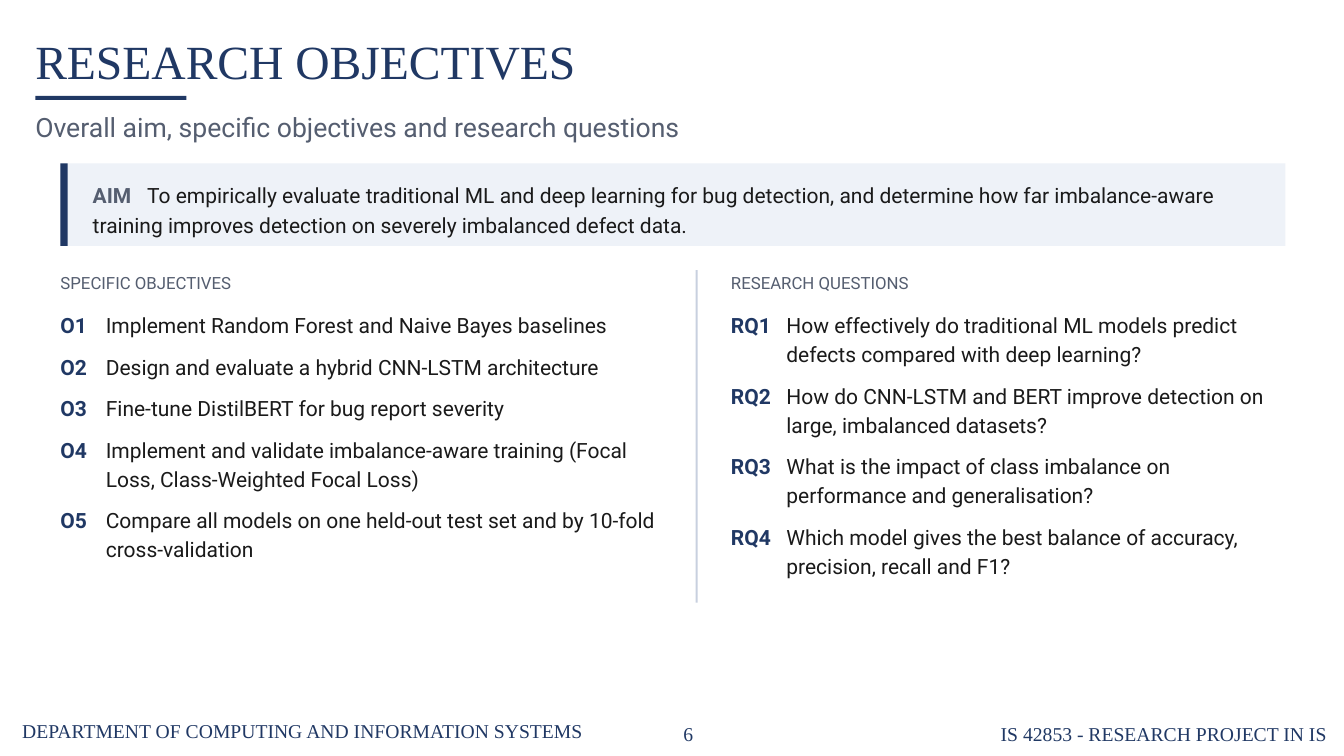
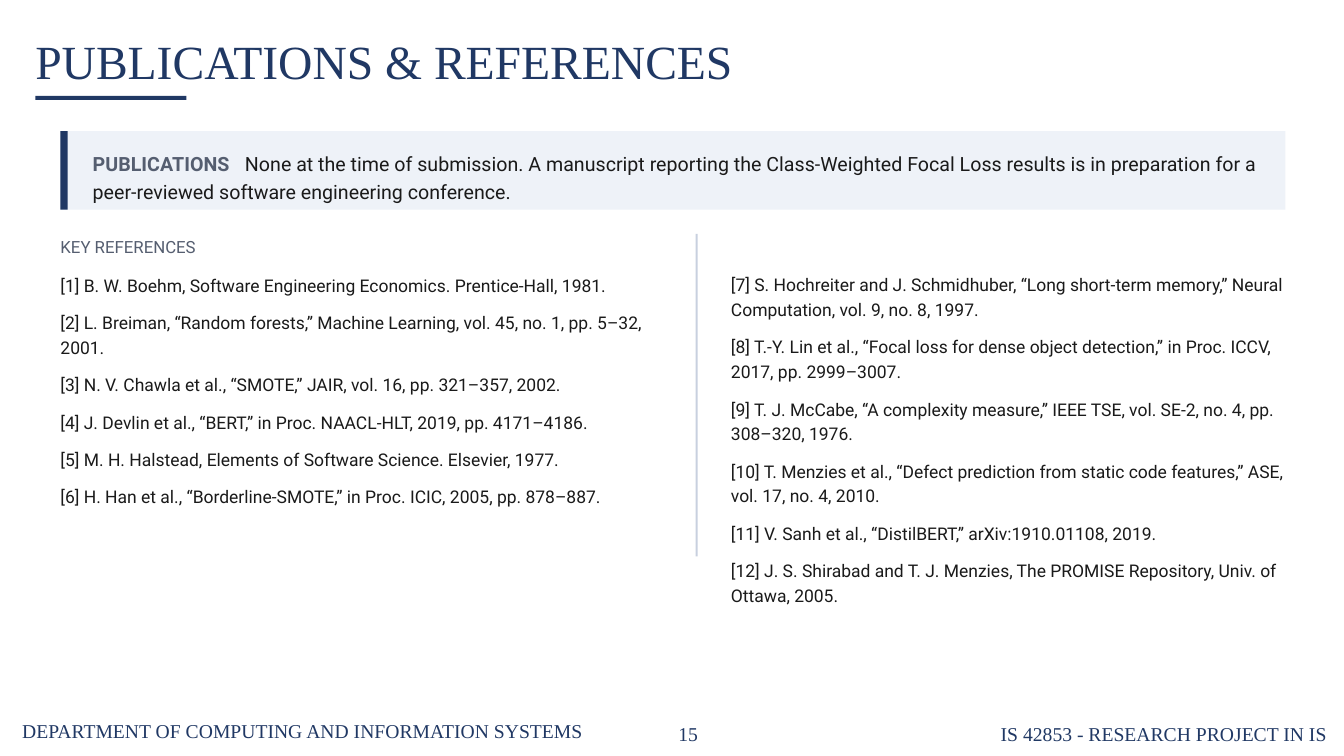
from dataclasses import dataclass
from typing import NamedTuple

from lxml.etree import SubElement
from pptx import Presentation
from pptx.dml.color import RGBColor
from pptx.enum.shapes import MSO_SHAPE as Preset
from pptx.enum.text import MSO_ANCHOR as Anchor, MSO_AUTO_SIZE as AutoSize, PP_ALIGN as Align
from pptx.oxml.ns import qn
from pptx.util import Emu, Inches, Pt

NAVY = RGBColor(0x20, 0x38, 0x64)
SLATE = RGBColor(0x55, 0x5E, 0x70)
INK = RGBColor(0x1A, 0x1A, 0x1A)
PALE = RGBColor(0xEE, 0xF2, 0xF8)
RULE = RGBColor(0xC8, 0xD0, 0xDF)
SERIF, SANS = "Times New Roman", "Roboto"

SLIDE_WIDTH, SLIDE_HEIGHT = Inches(13.33), Inches(7.5)


class Area(NamedTuple):
    """A rectangle in percent of the slide's width and height."""
    left: float
    top: float
    width: float
    height: float

    def lengths(self) -> tuple:
        sides = (SLIDE_WIDTH, SLIDE_HEIGHT) * 2
        return tuple(Emu(round(share * side / 100)) for share, side in zip(self, sides))


class Style(NamedTuple):
    size: float
    color: RGBColor
    font: str = SANS
    leading: float = 1.15
    after: float = 0
    align: Align = Align.LEFT


class Line(NamedTuple):
    """A paragraph; a label is set bold and the text starts at the tab, in inches."""
    text: str
    style: Style
    label: str = ""
    label_color: RGBColor = NAVY
    tab: float = 0
    hanging: bool = False


@dataclass
class Banner:
    label: str
    text: str
    size: float
    tab: float
    top: float
    height: float
    inset: float


@dataclass
class Column:
    heading: str
    lines: list[Line]


@dataclass
class Content:
    number: int
    title: str
    subtitle: str
    banner: Banner
    columns: tuple[Column, Column]
    divider_height: float
    heading_gap: float


FOOTER = Style(14, NAVY, SERIF)
TITLE = Style(34, NAVY, SERIF)
SUBTITLE = Style(19, SLATE)
ITEM = Style(15, INK, after=9)
REFERENCE = Style(12.5, INK, leading=1.18, after=9)

BODY_LEFT, BODY_WIDTH = 4.5, 91.15
COLUMN_SPANS = ((BODY_LEFT, 45.39), (54.39, 41.26))
DIVIDER_LEFT = 51.76
BANNER_GAP = 3.2
HEADING_LINE = 16.2  # points


def add_block(page, area: Area, color: RGBColor) -> None:
    block = page.shapes.add_shape(Preset.RECTANGLE, *area.lengths())
    block.shadow.inherit = False
    block.fill.solid()
    block.fill.fore_color.rgb = color
    block.line.fill.background()


def set_tab(para, inches: float, hanging: bool) -> None:
    """Start the text after a label at a tab stop, with wrapped lines under it if hanging."""
    properties = para._p.get_or_add_pPr()
    position = str(Inches(inches))
    if hanging:
        properties.set("marL", position)
        properties.set("indent", f"-{position}")
    else:
        stops = SubElement(properties, qn("a:tabLst"))
        SubElement(stops, qn("a:tab"), pos=position, algn="l")


def add_span(para, text: str, style: Style, color: RGBColor, bold: bool = False) -> None:
    span = para.add_run()
    span.text = text
    span.font.name = style.font
    span.font.size = Pt(style.size)
    span.font.bold = bold
    span.font.color.rgb = color


def add_text(page, area: Area, lines: list[Line], anchor: Anchor = Anchor.TOP) -> None:
    frame = page.shapes.add_textbox(*area.lengths()).text_frame
    frame.margin_left = frame.margin_top = frame.margin_right = frame.margin_bottom = 0
    frame.word_wrap = True
    frame.auto_size = AutoSize.SHAPE_TO_FIT_TEXT
    frame.vertical_anchor = anchor
    for index, line in enumerate(lines):
        para = frame.add_paragraph() if index else frame.paragraphs[0]
        style = line.style
        para.alignment = style.align
        para.line_spacing = style.leading
        para.space_after = Pt(style.after)
        if line.label:
            set_tab(para, line.tab, line.hanging)
            add_span(para, f"{line.label}\t", style, line.label_color, bold=True)
        add_span(para, line.text, style, style.color)


def add_frame(page, content: Content) -> None:
    """Draw the footer, title and title rule that every slide has."""
    footers = (
        (Area(1.65, 94.67, 45.16, 4.27), "DEPARTMENT OF COMPUTING AND INFORMATION SYSTEMS", Align.LEFT),
        (Area(72.92, 95.07, 25.81, 3.73), "IS 42853 - RESEARCH PROJECT IN IS", Align.RIGHT),
        (Area(47.94, 95.07, 6.53, 3.73), str(content.number), Align.CENTER),
    )
    for area, text, align in footers:
        add_text(page, area, [Line(text, FOOTER._replace(align=align))])
    add_text(page, Area(2.63, 2.67, 77.27, 9.6), [Line(content.title, TITLE)], Anchor.MIDDLE)
    add_block(page, Area(2.63, 12.67, 11.25, 0.53), NAVY)
    if content.subtitle:
        add_text(page, Area(2.63, 14, 93.02, 5.87), [Line(content.subtitle, SUBTITLE)])


def add_banner(page, banner: Banner) -> None:
    panel = Area(BODY_LEFT, banner.top, BODY_WIDTH, banner.height)
    add_block(page, panel, PALE)
    add_block(page, panel._replace(width=0.53), NAVY)
    style = Style(banner.size, INK, leading=1.2)
    add_text(page, Area(6.9, banner.top + banner.inset, 87.02, 7.5),
             [Line(banner.text, style, banner.label, SLATE, banner.tab)])


def add_columns(page, content: Content) -> None:
    top = content.banner.top + content.banner.height + BANNER_GAP
    height = content.divider_height + 1.33
    add_block(page, Area(DIVIDER_LEFT, top, 0.15, content.divider_height), RULE)
    heading_style = Style(12, SLATE, after=content.heading_gap)
    heading_share = 100 * Pt(HEADING_LINE + content.heading_gap) / SLIDE_HEIGHT
    for (left, width), column in zip(COLUMN_SPANS, content.columns):
        if column.heading:
            area = Area(left, top, width, height)
            lines = [Line(column.heading, heading_style), *column.lines]
        else:
            area = Area(left, top + heading_share, width, height - heading_share)
            lines = column.lines
        add_text(page, area, lines)


def numbered(prefix: str, tab: float, texts: list[str]) -> list[Line]:
    return [Line(text, ITEM, f"{prefix}{number}", tab=tab, hanging=True)
            for number, text in enumerate(texts, 1)]


def references(first: int, texts: list[str]) -> list[Line]:
    return [Line(f"[{number}] {text}", REFERENCE) for number, text in enumerate(texts, first)]


OBJECTIVES = Content(
    number=6,
    title="RESEARCH OBJECTIVES",
    subtitle="Overall aim, specific objectives and research questions",
    banner=Banner(
        "AIM",
        "To empirically evaluate traditional ML and deep learning for bug detection, and determine "
        "how far imbalance-aware training improves detection on severely imbalanced defect data.",
        size=15, tab=0.54, top=21.6, height=10.93, inset=1.87),
    columns=(
        Column("SPECIFIC OBJECTIVES", numbered("O", 0.45, [
            "Implement Random Forest and Naive Bayes baselines",
            "Design and evaluate a hybrid CNN-LSTM architecture",
            "Fine-tune DistilBERT for bug report severity",
            "Implement and validate imbalance-aware training (Focal Loss, Class-Weighted Focal Loss)",
            "Compare all models on one held-out test set and by 10-fold cross-validation",
        ])),
        Column("RESEARCH QUESTIONS", numbered("RQ", 0.55, [
            "How effectively do traditional ML models predict defects compared with deep learning?",
            "How do CNN-LSTM and BERT improve detection on large, imbalanced datasets?",
            "What is the impact of class imbalance on performance and generalisation?",
            "Which model gives the best balance of accuracy, precision, recall and F1?",
        ])),
    ),
    divider_height=44,
    heading_gap=11,
)

PUBLICATIONS = Content(
    number=15,
    title="PUBLICATIONS & REFERENCES",
    subtitle="",
    banner=Banner(
        "PUBLICATIONS",
        "None at the time of submission. A manuscript reporting the Class-Weighted Focal Loss results "
        "is in preparation for a peer-reviewed software engineering conference.",
        size=14, tab=1.51, top=17.33, height=10.4, inset=2.13),
    columns=(
        Column("KEY REFERENCES", references(1, [
            "B. W. Boehm, Software Engineering Economics. Prentice-Hall, 1981.",
            "L. Breiman, “Random forests,” Machine Learning, vol. 45, no. 1, pp. 5–32, 2001.",
            "N. V. Chawla et al., “SMOTE,” JAIR, vol. 16, pp. 321–357, 2002.",
            "J. Devlin et al., “BERT,” in Proc. NAACL-HLT, 2019, pp. 4171–4186.",
            "M. H. Halstead, Elements of Software Science. Elsevier, 1977.",
            "H. Han et al., “Borderline-SMOTE,” in Proc. ICIC, 2005, pp. 878–887.",
        ])),
        Column("", references(7, [
            "S. Hochreiter and J. Schmidhuber, “Long short-term memory,” Neural Computation, "
            "vol. 9, no. 8, 1997.",
            "T.-Y. Lin et al., “Focal loss for dense object detection,” in Proc. ICCV, 2017, "
            "pp. 2999–3007.",
            "T. J. McCabe, “A complexity measure,” IEEE TSE, vol. SE-2, no. 4, pp. 308–320, 1976.",
            "T. Menzies et al., “Defect prediction from static code features,” ASE, vol. 17, "
            "no. 4, 2010.",
            "V. Sanh et al., “DistilBERT,” arXiv:1910.01108, 2019.",
            "J. S. Shirabad and T. J. Menzies, The PROMISE Repository, Univ. of Ottawa, 2005.",
        ])),
    ),
    divider_height=42.67,
    heading_gap=10,
)


def main() -> None:
    deck = Presentation()
    deck.slide_width, deck.slide_height = SLIDE_WIDTH, SLIDE_HEIGHT
    blank = deck.slide_layouts[6]
    for content in (OBJECTIVES, PUBLICATIONS):
        page = deck.slides.add_slide(blank)
        add_frame(page, content)
        add_banner(page, content.banner)
        add_columns(page, content)
    deck.save("out.pptx")


if __name__ == "__main__":
    main()
